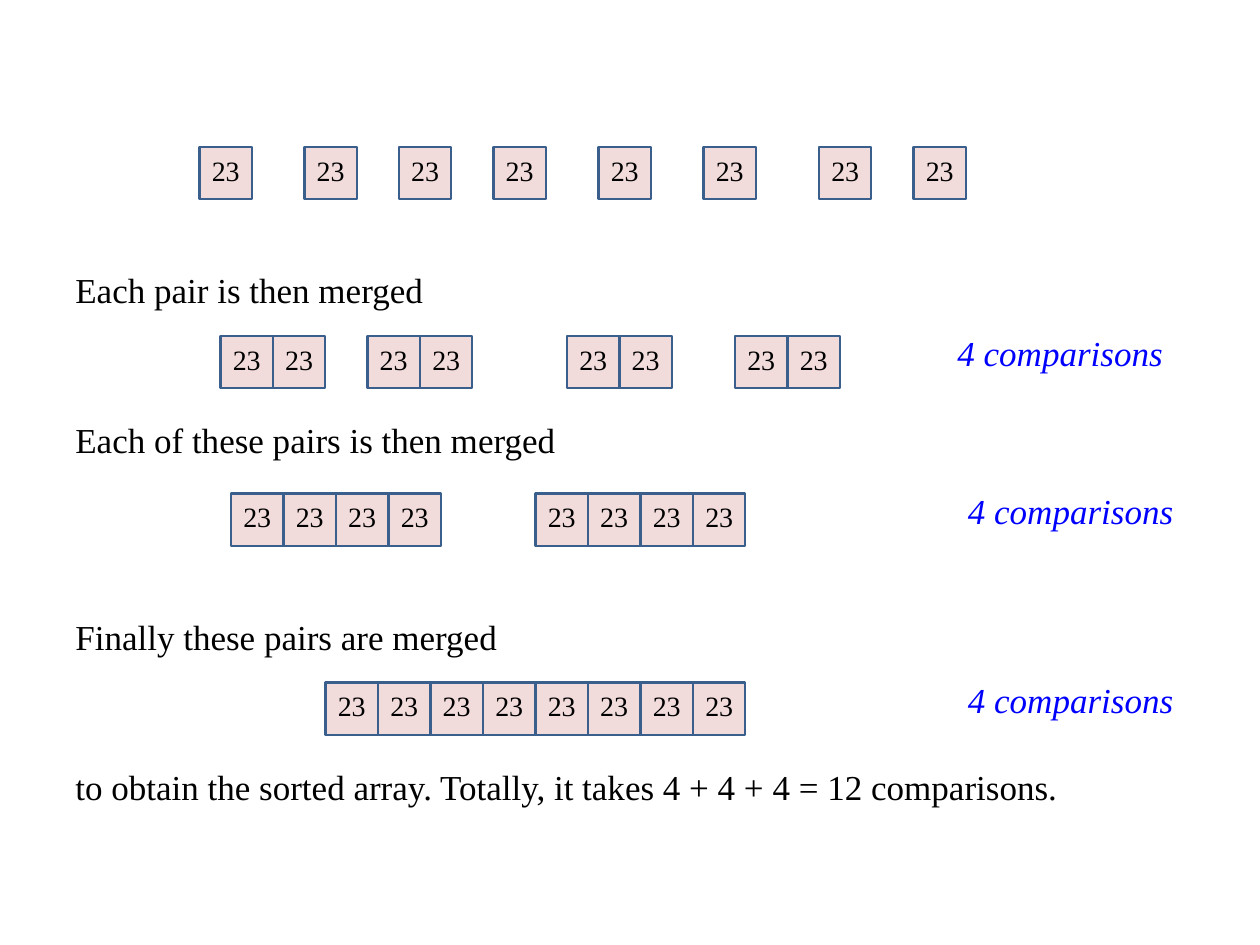
from dataclasses import dataclass

from pptx import Presentation
from pptx import util as u
from pptx.dml import color
from pptx.enum import shapes, text

COLUMNS, ROWS = 120, 90
UNIT = u.Inches(10) / COLUMNS
CELL = 5


@dataclass(frozen=True)
class Theme:
    font: str = "Times New Roman"
    ink: str = "000000"
    count_ink: str = "0000FF"
    cell_fill: str = "F2DCDB"
    cell_line: str = "3A5F8C"
    body_size: float = 20
    cell_size: float = 16
    line_width: float = 1.25


THEME = Theme()

SINGLES = [19, 29, 38, 47, 57, 67, 78, 87]
MERGES = [
    (32, 2, [21, 35, 54, 70], 90),
    (47, 4, [22, 51], 91),
    (65, 8, [31], 91),
]
STEPS = [
    ("Each pair is then merged", 0),
    ("Each of these pairs is then merged", 61.4),
    ("Finally these pairs are merged", 89),
    ("to obtain the sorted array. Totally, it takes 4 + 4 + 4 = 12 comparisons.", 61.4),
]


def grid(*lengths):
    return [round(length * UNIT) for length in lengths]


def rgb(value):
    return color.RGBColor.from_string(value)


def add_run(paragraph, words, size, ink=THEME.ink, italic=False):
    run = paragraph.add_run()
    run.text = words
    run.font.name = THEME.font
    run.font.size = u.Pt(size)
    run.font.color.rgb = rgb(ink)
    run.font.italic = italic


def add_cell(parent, column, row, value):
    cell = parent.add_shape(shapes.MSO_SHAPE.RECTANGLE, *grid(column, row, CELL, CELL))
    cell.shadow.inherit = False
    cell.fill.solid()
    cell.fill.fore_color.rgb = rgb(THEME.cell_fill)
    cell.line.color.rgb = rgb(THEME.cell_line)
    cell.line.width = u.Pt(THEME.line_width)
    frame = cell.text_frame
    frame.margin_left = frame.margin_right = 0
    frame.vertical_anchor = text.MSO_ANCHOR.TOP
    number = frame.paragraphs[0]
    number.alignment = text.PP_ALIGN.CENTER
    add_run(number, value, THEME.cell_size)


def add_arrays(parent, row, length, starts):
    for start in starts:
        for index in range(length):
            add_cell(parent, start + index * CELL, row, "23")


def add_count(slide, column, row):
    count = slide.shapes.add_textbox(*grid(column, row, 24, 5.25))
    count.text_frame.word_wrap = True
    add_run(count.text_frame.paragraphs[0], "4 comparisons",
            THEME.body_size, THEME.count_ink, italic=True)


def add_steps(slide):
    frame = slide.shapes.add_textbox(*grid(6, 25, 108, 55)).text_frame
    frame.word_wrap = True
    for index, (sentence, gap) in enumerate(STEPS):
        step = frame.add_paragraph() if index else frame.paragraphs[0]
        step.space_before = u.Pt(gap)
        add_run(step, sentence, THEME.body_size)


def main():
    deck = Presentation()
    deck.slide_width, deck.slide_height = grid(COLUMNS, ROWS)
    slide = deck.slides.add_slide(deck.slide_layouts[6])
    add_steps(slide)
    add_arrays(slide.shapes, 14, 1, SINGLES)
    for row, length, starts, count_column in MERGES:
        add_arrays(slide.shapes.add_group_shape().shapes, row, length, starts)
        add_count(slide, count_column, row - 1)
    deck.save("out.pptx")


if __name__ == "__main__":
    main()
